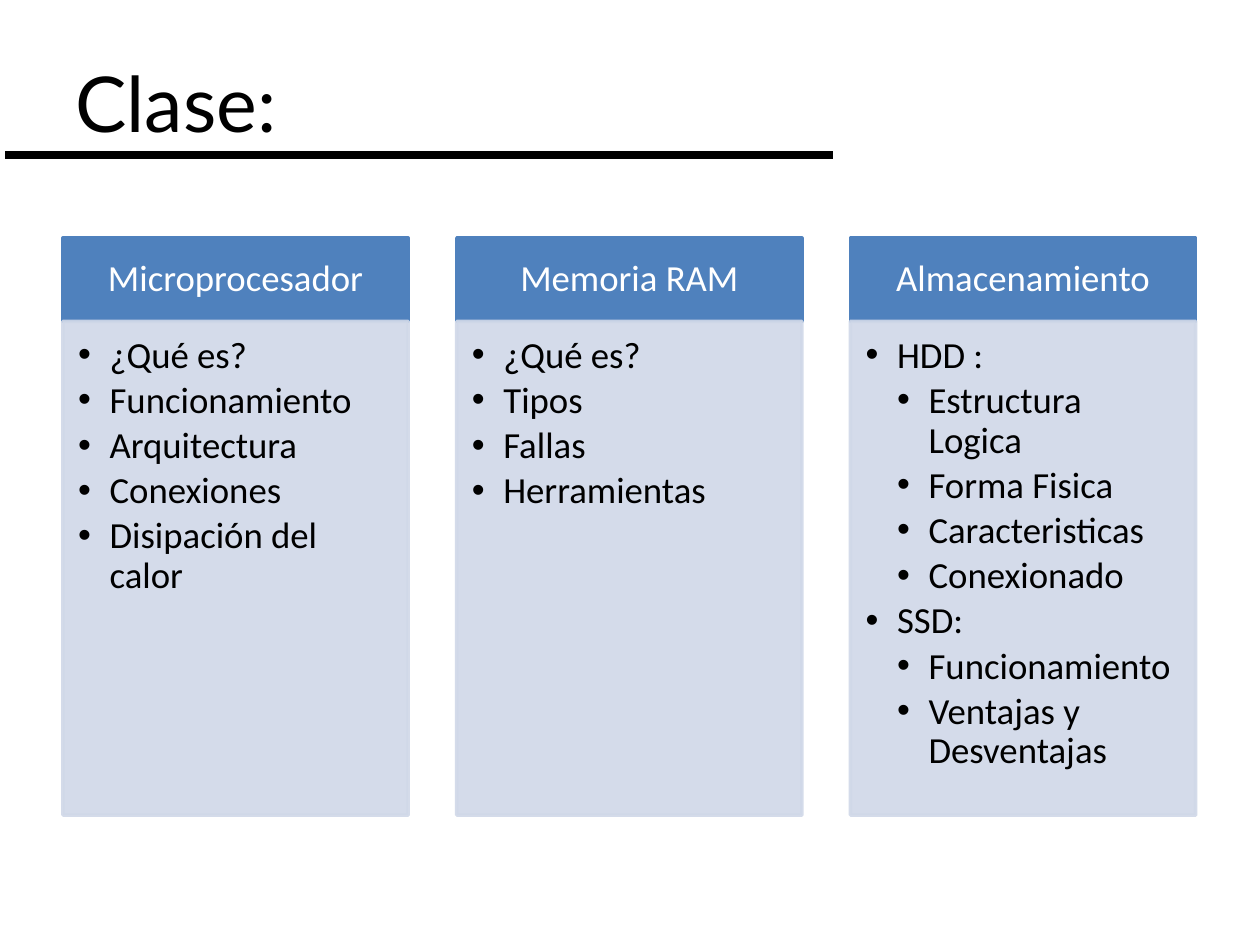
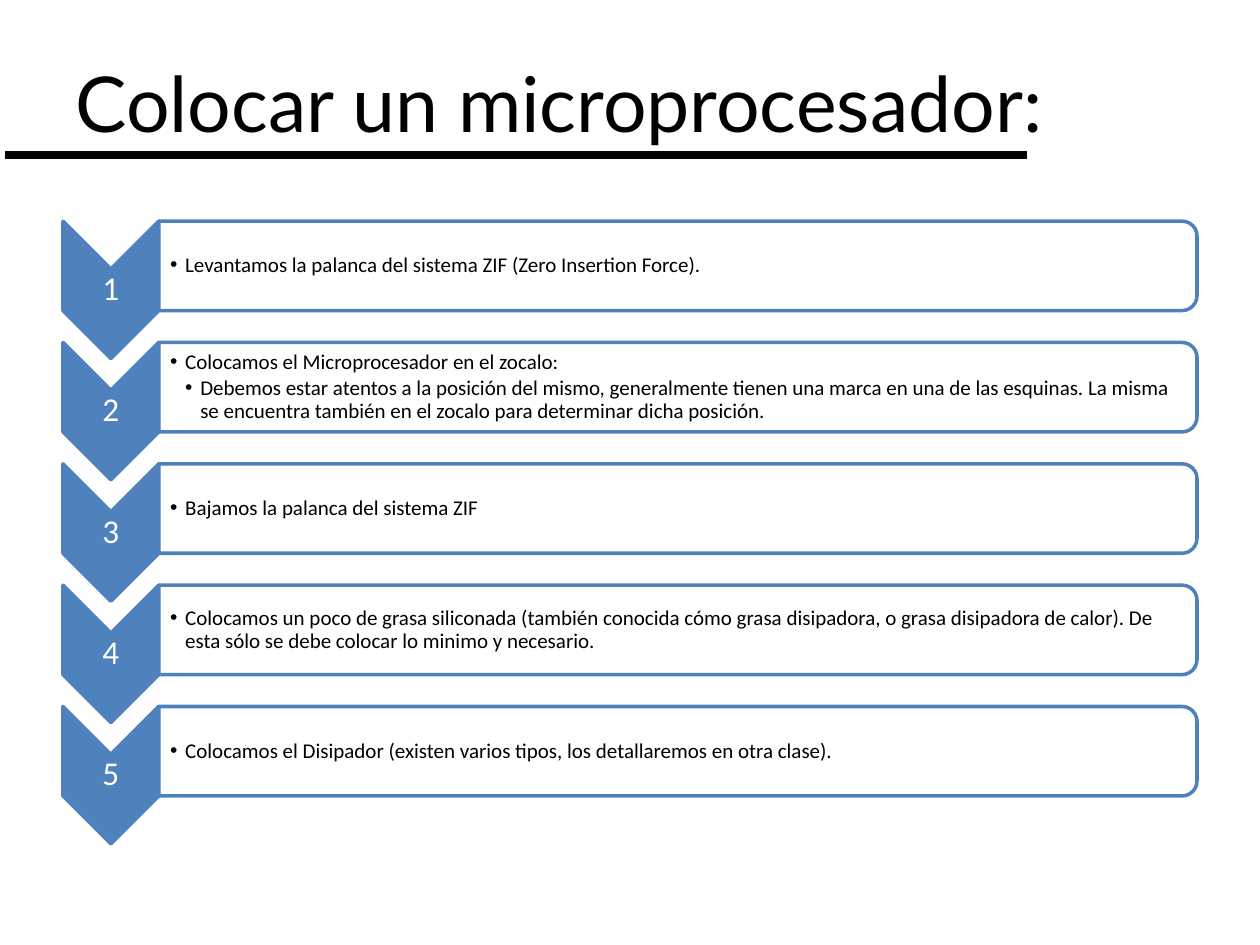
from lxml import etree
from pptx import Presentation
from pptx.dml.color import RGBColor
from pptx.enum.shapes import MSO_CONNECTOR, MSO_SHAPE
from pptx.enum.text import MSO_ANCHOR, PP_ALIGN
from pptx.oxml.ns import qn
from pptx.util import Inches, Pt

COLORS = {"ink": "000000", "paper": "FFFFFF", "blue": "4F81BD", "pale": "D0D8E8"}
TITLE_FONT, BODY_FONT = "Lato", "Calibri"
RECT, CHEVRON, ROUNDED = MSO_SHAPE.RECTANGLE, MSO_SHAPE.CHEVRON, MSO_SHAPE.ROUND_2_SAME_RECTANGLE
STRAIGHT = MSO_CONNECTOR.STRAIGHT
LEFT, CENTER = PP_ALIGN.LEFT, PP_ALIGN.CENTER
TOP, MIDDLE = MSO_ANCHOR.TOP, MSO_ANCHOR.MIDDLE

# The grid has 100 columns and 75 rows
WIDTH, HEIGHT = Inches(10), Inches(7.5)
COL, ROW = WIDTH / 100, HEIGHT / 75
MARGIN = 5

TOPICS = [
    ("Microprocesador", [(0, "¿Qué es?"), (0, "Funcionamiento"), (0, "Arquitectura"),
                         (0, "Conexiones"), (0, "Disipación del calor")]),
    ("Memoria RAM", [(0, "¿Qué es?"), (0, "Tipos"), (0, "Fallas"), (0, "Herramientas")]),
    ("Almacenamiento", [(0, "HDD :"), (1, "Estructura Logica"), (1, "Forma Fisica"),
                        (1, "Caracteristicas"), (1, "Conexionado"), (0, "SSD:"),
                        (1, "Funcionamiento"), (1, "Ventajas y Desventajas")]),
]
STEPS = [
    [(0, "Levantamos la palanca del sistema ZIF (Zero Insertion Force).")],
    [(0, "Colocamos el Microprocesador en el zocalo:"),
     (1, "Debemos estar atentos a la posición del mismo, generalmente tienen una marca en una "
         "de las esquinas. La misma se encuentra también en el zocalo para determinar dicha "
         "posición.")],
    [(0, "Bajamos la palanca del sistema ZIF")],
    [(0, "Colocamos un poco de grasa siliconada (también conocida cómo grasa disipadora, o grasa "
         "disipadora de calor). De esta sólo se debe colocar lo minimo y necesario.")],
    [(0, "Colocamos el Disipador (existen varios tipos, los detallaremos en otra clase).")],
]


class Deck:
    def __init__(self):
        self.prs = Presentation()
        self.prs.slide_width, self.prs.slide_height = WIDTH, HEIGHT
        self.slide = None

    def start(self, title, rule_end):
        """New slide with its title and the rule below it."""
        self.slide = self.prs.slides.add_slide(self.prs.slide_layouts[6])
        heading = self.box(MARGIN, 3, 90, 10.1)
        self.add_text(heading, [(0, title)], 44, font=TITLE_FONT, spacing=1)
        self.rule(0.4, rule_end, 12.3)

    def rule(self, start, end, row):
        line = self.slide.shapes.add_connector(
            STRAIGHT, round(start * COL), round(row * ROW), round(end * COL), round(row * ROW))
        line.line.color.rgb = RGBColor.from_string(COLORS["ink"])
        line.line.width = Pt(4.75)
        etree.SubElement(line._element.spPr, qn("a:effectLst"))

    def box(self, left, top, width, height):
        return self.slide.shapes.add_textbox(
            round(left * COL), round(top * ROW), round(width * COL), round(height * ROW))

    def shape(self, kind, left, top, width, height, fill, line, turned=False, opacity=100):
        """Preset shape in the given visible area; turned means a quarter turn clockwise."""
        if turned:
            left, top = left + (width - height) / 2, top + (height - width) / 2
            width, height = height, width
        shape = self.slide.shapes.add_shape(
            kind, round(left * COL), round(top * ROW), round(width * COL), round(height * ROW))
        shape.rotation = 90 if turned else 0
        shape.shadow.inherit = False
        shape.fill.solid()
        shape.fill.fore_color.rgb = RGBColor.from_string(COLORS[fill])
        shape.line.color.rgb = RGBColor.from_string(COLORS[line])
        shape.line.width = Pt(2)
        if opacity < 100:
            for color in shape._element.spPr.iter(qn("a:srgbClr")):
                if color.get("val") == COLORS[fill]:
                    etree.SubElement(color, qn("a:alpha"), val=str(opacity * 1000))
        return shape

    def add_text(self, holder, lines, size, color="ink", font=BODY_FONT, align=LEFT,
                 anchor=MIDDLE, insets=(0.1, 0.05, 0.1, 0.05), spacing=0.9, after=0, indent=0):
        """Fill a holder with (level, text) lines; an indent also gives bullets."""
        frame = holder.text_frame
        frame.word_wrap = True
        frame.vertical_anchor = anchor
        (frame.margin_left, frame.margin_top,
         frame.margin_right, frame.margin_bottom) = map(Inches, insets)
        for number, (level, text) in enumerate(lines):
            paragraph = frame.add_paragraph() if number else frame.paragraphs[0]
            paragraph.alignment = align
            paragraph.line_spacing = spacing
            paragraph.space_after = Pt(after)
            if indent:
                self.bullet(paragraph, level, indent)
            run = paragraph.add_run()
            run.text = text
            run.font.size = Pt(size)
            run.font.name = font
            run.font.color.rgb = RGBColor.from_string(COLORS[color])

    def bullet(self, paragraph, level, indent):
        paragraph.level = level
        props = paragraph._p.get_or_add_pPr()
        props.set("marL", str(Inches(indent * (level + 1))))
        props.set("indent", str(-Inches(indent)))
        etree.SubElement(props, qn("a:buFont"), typeface="Arial")
        etree.SubElement(props, qn("a:buChar"), char="•")


def topics_slide(deck):
    deck.start("Clase:", 66.1)
    width, pitch = 27.4, 31.25
    head_top, head_height, list_height = 18.9, 6.6, 39.2
    for index, (topic, points) in enumerate(TOPICS):
        left = MARGIN + index * pitch
        head = deck.shape(RECT, left, head_top, width, head_height, "blue", "blue")
        deck.add_text(head, [(0, topic)], 21, "paper", align=CENTER,
                      insets=(0.16, 0.09, 0.16, 0.09))
        panel = deck.shape(RECT, left, head_top + head_height, width, list_height,
                           "pale", "pale", opacity=90)
        deck.add_text(panel, points, 21, anchor=TOP, insets=(0.12, 0.12, 0.16, 0.18),
                      after=3.15, indent=0.25)


def steps_slide(deck):
    deck.start("Colocar un microprocesador:", 81.5)
    first_top, pitch = 17.55, 9.63
    arrow_width, arrow_height = 7.6, 10.9
    card_width, card_height = 82.4, 7.1
    tight = (0.01, 0.01, 0.01, 0.01)
    card_left = MARGIN + arrow_width
    for index, sentences in enumerate(STEPS):
        top = first_top + index * pitch
        # Numbered arrow
        deck.shape(CHEVRON, MARGIN, top, arrow_width, arrow_height, "blue", "blue", turned=True)
        number = deck.box(MARGIN, top + 3.8, arrow_width, 3.3)
        deck.add_text(number, [(0, str(index + 1))], 19, "paper", align=CENTER, insets=tight)
        # Card with the instruction
        deck.shape(ROUNDED, card_left, top, card_width, card_height, "paper", "blue",
                   turned=True, opacity=90)
        instruction = deck.box(card_left, top + 0.35, 82, 6.4)
        deck.add_text(instruction, sentences, 12, insets=(0.09, 0.01, 0.01, 0.01),
                      after=1.8, indent=0.12)


def main():
    deck = Deck()
    topics_slide(deck)
    steps_slide(deck)
    deck.prs.save("out.pptx")


if __name__ == "__main__":
    main()
